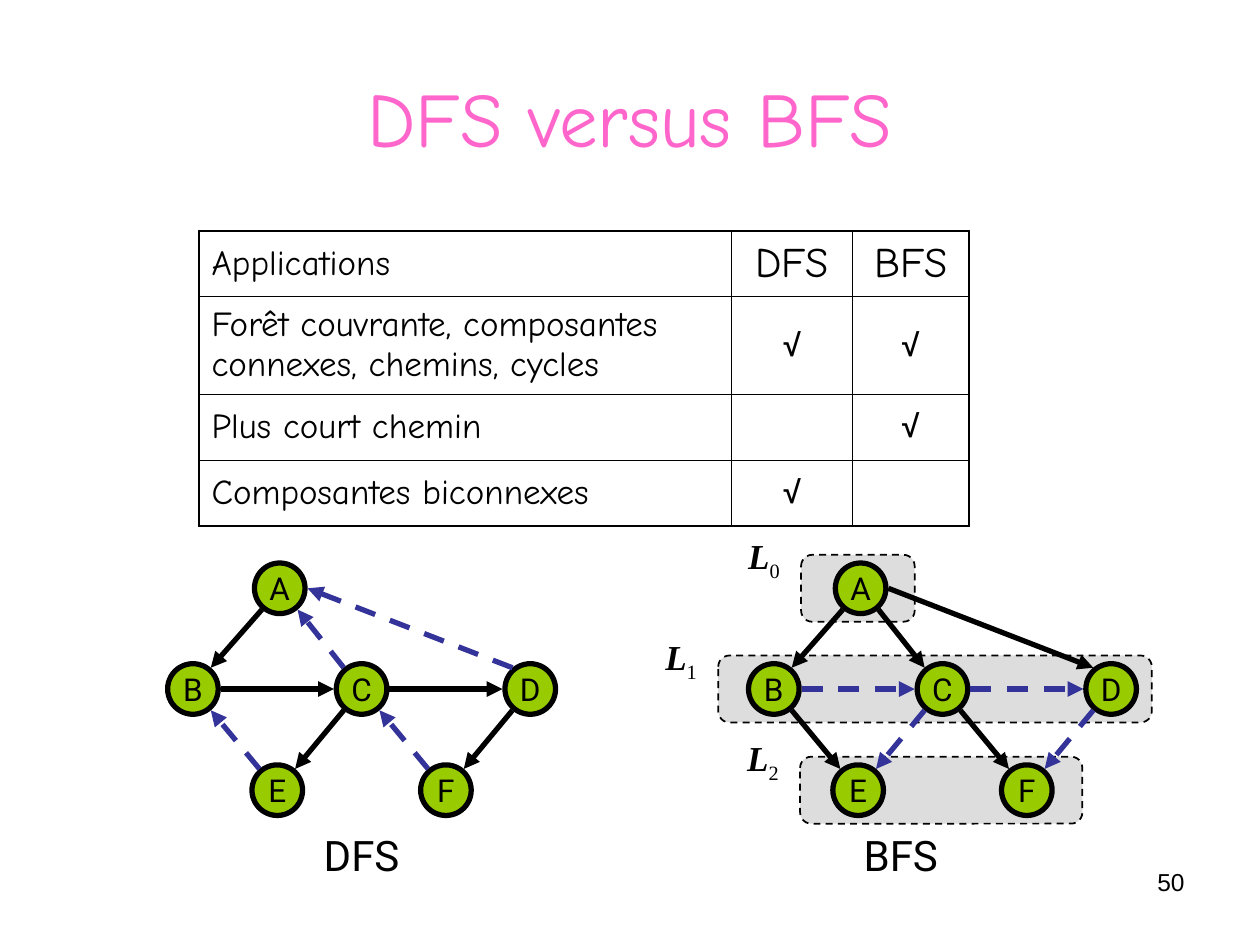
from math import cos, hypot, radians, sin

from lxml.etree import SubElement
from pptx import Presentation
from pptx.dml.color import RGBColor
from pptx.enum.dml import MSO_LINE as Dash
from pptx.enum.shapes import MSO_CONNECTOR as Link, MSO_SHAPE as Shape
from pptx.enum.text import MSO_ANCHOR as Anchor, PP_ALIGN as Align
from pptx.oxml.ns import qn
from pptx.util import Cm, Pt

COLORS = {"ink": "000000", "title": "FF66CC", "node": "99CC00",
          "level": "DDDDDD", "back_edge": "333399"}
HAND, SANS, PLAIN, SERIF = "Comic Neue", "Roboto", "Arial", "Times New Roman"

RADIUS = 0.51
PORT = 0.56
LEVEL_HEIGHT = 1.35
ROW_Y = [11.86, 13.89, 15.93]
NODES = {"A": (5.64, 0), "B": (3.89, 1), "C": (7.29, 1), "D": (10.69, 1),
         "E": (5.59, 2), "F": (8.99, 2)}
GRAPHS = [
    ("DFS", 0, 5.08, ["AB", "BC", "CD", "CE", "DF"], ["EB", "CA", "DA", "FC"]),
    ("BFS", 11.71, 15.95, ["AB", "AC", "AD", "BE", "CF"], ["BC", "CD", "CE", "DF"]),
]
LEVELS = [(16.15, 2.29), (14.48, 8.74), (16.13, 5.69)]
APPLICATIONS = [
    ["Applications", "DFS", "BFS"],
    ["Forêt couvrante, composantes connexes, chemins, cycles", "√", "√"],
    ["Plus court chemin", "", "√"],
    ["Composantes biconnexes", "√", ""],
]


def color(name):
    return RGBColor.from_string(COLORS[name])


def port(node, other, shift):
    (x, row), (other_x, other_row) = NODES[node], NODES[other]
    dx, dy = other_x - x, other_row - row
    level_exit = dy == 0 or (node == "A" and abs(dx) > 4)
    angle = radians(0 if level_exit else 50)
    side_x = 1 if dx > 0 else -1
    side_y = 1 if dy > 0 else -1
    return (x + shift + side_x * PORT * cos(angle),
            ROW_Y[row] + side_y * PORT * sin(angle))


class SlideBuilder:
    def __init__(self, slide):
        self.slide = slide
        self.shapes = slide.shapes

    def format(self, paragraph, size, font, align=Align.CENTER, ink="ink", bold=False):
        paragraph.alignment = align
        for run in paragraph.runs:
            run.font.size = Pt(size)
            run.font.name = font
            run.font.bold = bold
            run.font.color.rgb = color(ink)

    def title(self, text, left, top, width, height):
        title = self.shapes.title
        title.left, title.top = Cm(left), Cm(top)
        title.width, title.height = Cm(width), Cm(height)
        title.text_frame.text = text
        title.text_frame.vertical_anchor = Anchor.MIDDLE
        self.format(title.text_frame.paragraphs[0], 44, HAND, ink="title")

    def text(self, text, left, top, width, height, size, font, align=Align.CENTER):
        box = self.shapes.add_textbox(Cm(left), Cm(top), Cm(width), Cm(height))
        box.text_frame.word_wrap = True
        box.text_frame.text = text
        paragraph = box.text_frame.paragraphs[0]
        self.format(paragraph, size, font, align)
        return paragraph

    def outlined(self, preset, left, top, width, height, fill, weight):
        shape = self.shapes.add_shape(preset, Cm(left), Cm(top), Cm(width), Cm(height))
        shape.shadow.inherit = False
        shape.fill.solid()
        shape.fill.fore_color.rgb = color(fill)
        shape.line.color.rgb = color("ink")
        shape.line.width = Pt(weight)
        return shape

    def level(self, index, left, width):
        top = ROW_Y[index] - LEVEL_HEIGHT / 2
        band = self.outlined(Shape.ROUNDED_RECTANGLE, left, top, width,
                             LEVEL_HEIGHT, "level", 1)
        band.line.dash_style = Dash.DASH
        label = self.text("L", left - 1.4, ROW_Y[index] - 1.2, 1.3, 1.22, 20, SERIF)
        label.add_run().text = str(index)
        self.format(label, 20, SERIF)
        letter, subscript = label.runs
        letter.font.bold = letter.font.italic = True
        subscript._r.get_or_add_rPr().set("baseline", "-25000")

    def node(self, name, shift):
        x, row = NODES[name]
        circle = self.outlined(Shape.OVAL, x + shift - RADIUS, ROW_Y[row] - RADIUS,
                               2 * RADIUS, 2 * RADIUS, "node", 3)
        frame = circle.text_frame
        frame.word_wrap = False
        frame.vertical_anchor = Anchor.MIDDLE
        frame.text = name
        self.format(frame.paragraphs[0], 18, SANS)

    def edge(self, source, target, shift, dashed):
        ends = port(source, target, shift) + port(target, source, shift)
        arrow = self.shapes.add_connector(Link.STRAIGHT, *map(Cm, ends))
        arrow.line.color.rgb = color("back_edge" if dashed else "ink")
        arrow.line.width = Pt(3)
        if dashed:
            arrow.line.dash_style = Dash.DASH
        SubElement(arrow.line._get_or_add_ln(), qn("a:tailEnd"), type="triangle")
        SubElement(arrow._element.spPr, qn("a:effectLst"))

    def graph(self, name, shift, caption_left, tree_edges, other_edges):
        for node in NODES:
            self.node(node, shift)
        for edges, dashed in ((tree_edges, False), (other_edges, True)):
            for source, target in edges:
                self.edge(source, target, shift, dashed)
        self.text(name, caption_left, 16.59, 4.42, 1.27, 24, SANS)

    def borders(self, cell, outer_sides):
        properties = cell._tc.get_or_add_tcPr()
        for side in "LRTB":
            weight = 1.08 if side in outer_sides else 0.45
            line = SubElement(properties, qn(f"a:ln{side}"), w=str(int(Pt(weight))))
            fill = SubElement(line, qn("a:solidFill"))
            SubElement(fill, qn("a:srgbClr"), val=COLORS["ink"])

    def table(self, rows, left, top, widths, heights):
        table = self.shapes.add_table(len(rows), len(widths), Cm(left), Cm(top),
                                      Cm(sum(widths)), Cm(sum(heights))).table
        table.first_row = table.horz_banding = False
        for column, width in zip(table.columns, widths):
            column.width = Cm(width)
        for row, height in zip(table.rows, heights):
            row.height = Cm(height)
        last_row, last_column = len(rows) - 1, len(widths) - 1
        for r, row in enumerate(rows):
            for c, text in enumerate(row):
                cell = table.cell(r, c)
                outer = {"T": r == 0, "B": r == last_row,
                         "L": c == 0, "R": c == last_column}
                self.borders(cell, [side for side in outer if outer[side]])
                cell.fill.background()
                cell.vertical_anchor = Anchor.MIDDLE
                cell.text_frame.text = text
                paragraph = cell.text_frame.paragraphs[0]
                if c == 0:
                    self.format(paragraph, 20, HAND, Align.LEFT)
                elif r == 0:
                    self.format(paragraph, 24, HAND)
                else:
                    self.format(paragraph, 18, PLAIN, bold=True)


def main():
    deck = Presentation()
    deck.slide_width, deck.slide_height = Cm(25.4), Cm(19.05)
    builder = SlideBuilder(deck.slides.add_slide(deck.slide_layouts[5]))
    builder.title("DFS versus BFS", 1.27, 0.76, 22.86, 3.18)
    builder.table(APPLICATIONS, 4.01, 4.65, [10.74, 2.44, 2.34],
                  [1.33, 1.96, 1.33, 1.33])
    for index, (left, width) in enumerate(LEVELS):
        builder.level(index, left, width)
    for graph in GRAPHS:
        builder.graph(*graph)
    builder.text("50", 18.21, 17.35, 5.92, 1.32, 14, PLAIN, Align.RIGHT)
    deck.save("out.pptx")


if __name__ == "__main__":
    main()
